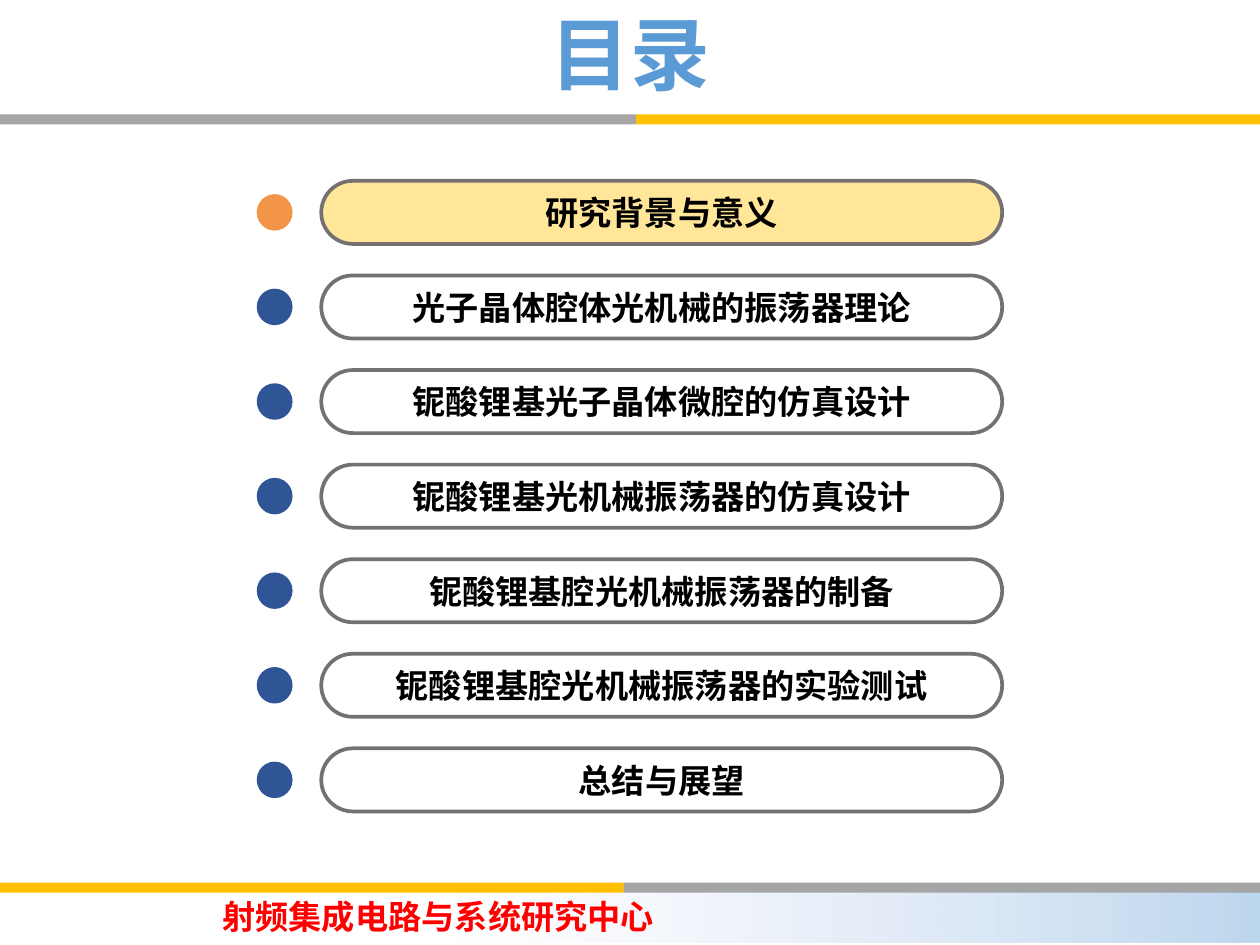
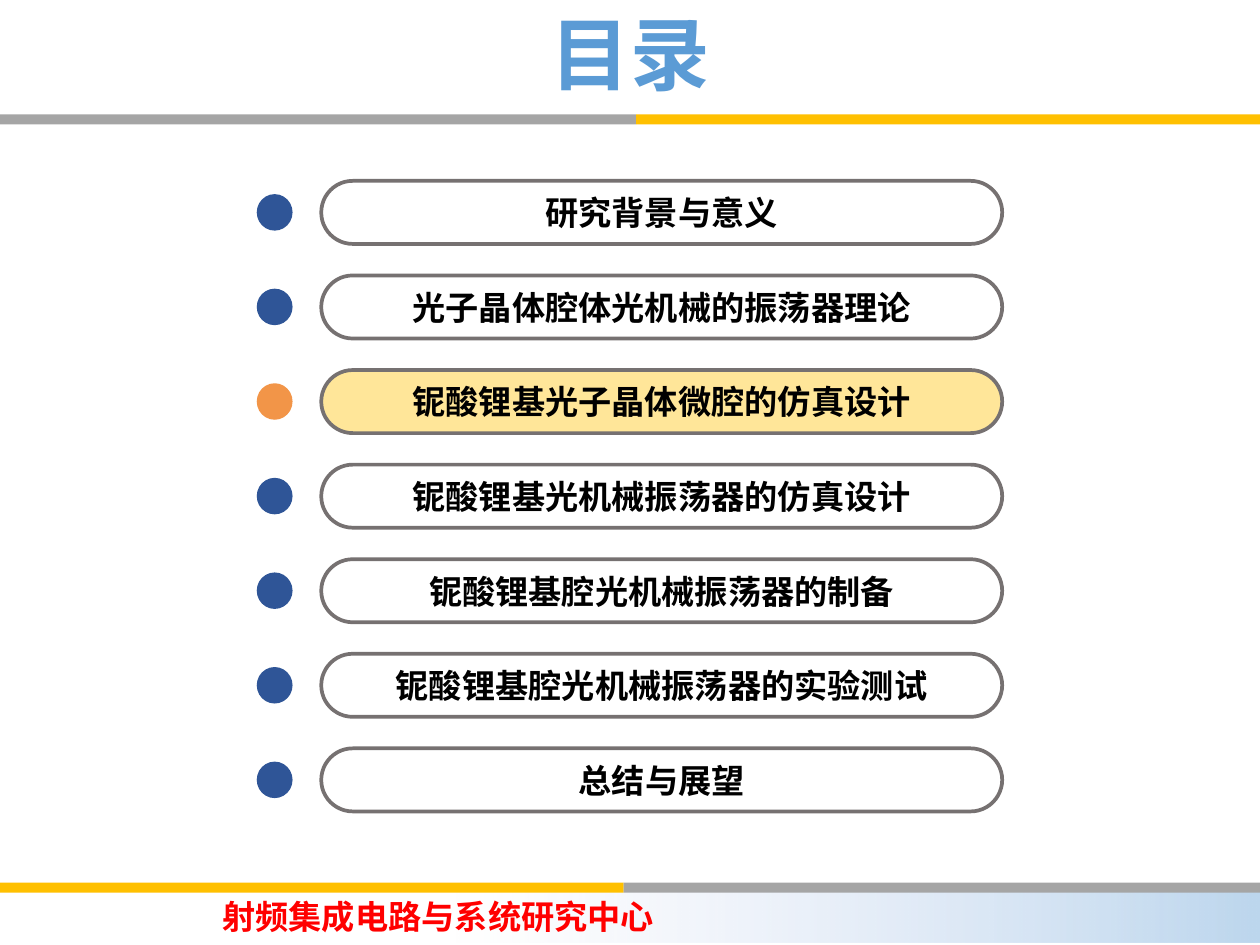
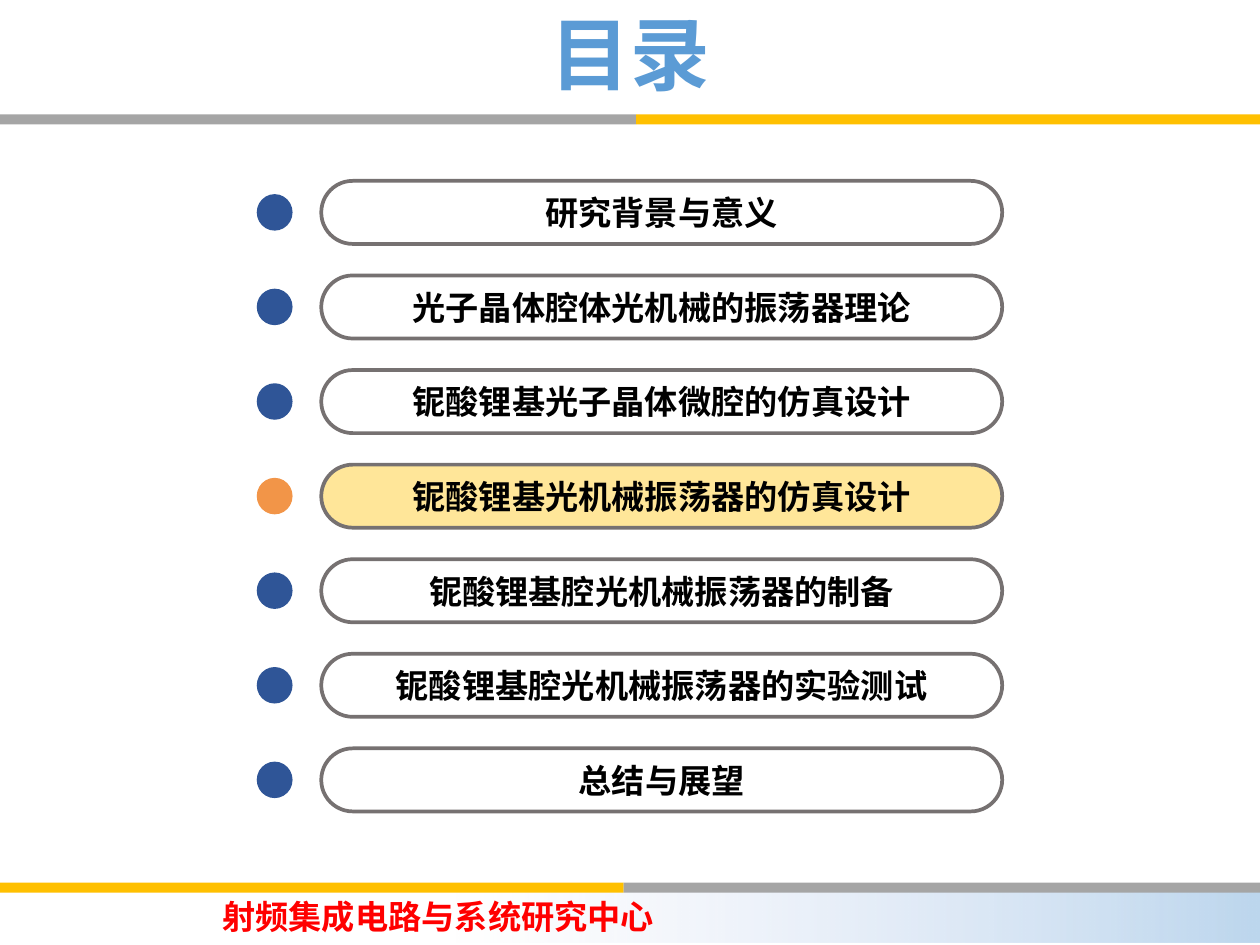
from dataclasses import dataclass

from lxml import etree
from pptx import Presentation
from pptx.dml.color import RGBColor
from pptx.enum import shapes, text
from pptx.oxml import ns
from pptx.util import Pt

TITLE = "目录"
FOOTER = "射频集成电路与系统研究中心"
SECTIONS = [
    "研究背景与意义",
    "光子晶体腔体光机械的振荡器理论",
    "铌酸锂基光子晶体微腔的仿真设计",
    "铌酸锂基光机械振荡器的仿真设计",
    "铌酸锂基腔光机械振荡器的制备",
    "铌酸锂基腔光机械振荡器的实验测试",
    "总结与展望",
]
CURRENT_SECTIONS = [0, 2, 3]  # one slide for each


@dataclass(frozen=True)
class Theme:
    title: str = "5B9BD5"
    footer: str = "FF0000"
    body: str = "000000"
    gray: str = "A5A5A5"
    gold: str = "FFC000"
    band_start: str = "BDD7EE"
    band_end: str = "E0E5F7"
    pill_line: str = "767171"
    pill_current: str = "FFE699"
    dot: str = "2F5597"
    dot_current: str = "F29548"
    title_font: str = "Noto Sans CJK JP"
    body_font: str = "Noto Sans CJK SC"
    title_size: int = 48
    body_size: int = 20


THEME = Theme()
WIDTH, HEIGHT = 759.6, 569.5
BAR_HEIGHT = 6
HEADER_BAR_TOP, FOOTER_BAR_TOP = 69, 532
HEADER_SPLIT, FOOTER_SPLIT = 383.5, 376
ROW_TOP, ROW_PITCH = 109, 57
PILL_LEFT, PILL_WIDTH, PILL_HEIGHT = 193.7, 410.5, 38
DOT_LEFT, DOT_WIDTH, DOT_HEIGHT = 154.8, 21.6, 22


def add_shape(slide, kind, left, top, width, height, fill=None):
    shape = slide.shapes.add_shape(kind, Pt(left), Pt(top), Pt(width), Pt(height))
    shape.shadow.inherit = False
    shape.line.fill.background()
    if fill:
        shape.fill.solid()
        shape.fill.fore_color.rgb = RGBColor.from_string(fill)
    else:
        shape.fill.background()
    return shape


def write(shape, words, font, size, color, align):
    frame = shape.text_frame
    frame.text = words
    frame.vertical_anchor = text.MSO_ANCHOR.MIDDLE
    paragraph = frame.paragraphs[0]
    paragraph.alignment = align
    run = paragraph.runs[0]
    run.font.size = Pt(size)
    run.font.bold = True
    run.font.color.rgb = RGBColor.from_string(color)
    run.font.name = font
    east_asian = etree.SubElement(run._r.get_or_add_rPr(), ns.qn("a:ea"))
    east_asian.set("typeface", font)
    return paragraph


def add_split_bar(slide, top, split, left_color, right_color):
    for left, right, color in ((0, split, left_color), (split, WIDTH, right_color)):
        add_shape(slide, shapes.MSO_SHAPE.RECTANGLE, left, top, right - left, BAR_HEIGHT, color)


def add_footer_band(slide):
    """Add the footer, whose tint fades out from right to left."""
    band = add_shape(slide, shapes.MSO_SHAPE.RECTANGLE, 0, 536.5, WIDTH, 31.5)
    band.fill.gradient()
    band.fill.gradient_angle = 180
    start, end = band.fill.gradient_stops
    start.position, end.position = 0, 0.64
    start.color.rgb = RGBColor.from_string(THEME.band_start)
    end.color.rgb = RGBColor.from_string(THEME.band_end)
    end_color = band.fill._xPr.findall(".//" + ns.qn("a:srgbClr"))[-1]
    etree.SubElement(end_color, ns.qn("a:alpha")).set("val", "0")
    frame = band.text_frame
    frame.margin_left = Pt(134)
    frame.margin_top = frame.margin_bottom = 0
    write(band, FOOTER, THEME.body_font, THEME.body_size, THEME.footer, text.PP_ALIGN.LEFT)


def add_frame(slide):
    """Add the title, bars and footer that every slide shares."""
    add_footer_band(slide)
    add_split_bar(slide, HEADER_BAR_TOP, HEADER_SPLIT, THEME.gray, THEME.gold)
    add_split_bar(slide, FOOTER_BAR_TOP, FOOTER_SPLIT, THEME.gold, THEME.gray)
    title = slide.shapes.add_textbox(Pt(124.6), Pt(7), Pt(510.5), Pt(57))
    title.text_frame.word_wrap = True
    paragraph = write(title, TITLE, THEME.title_font, THEME.title_size, THEME.title,
                      text.PP_ALIGN.CENTER)
    paragraph.line_spacing = 0.9


def add_section_row(slide, index, words, is_current):
    top = ROW_TOP + index * ROW_PITCH
    pill = add_shape(slide, shapes.MSO_SHAPE.ROUNDED_RECTANGLE, PILL_LEFT, top,
                     PILL_WIDTH, PILL_HEIGHT, THEME.pill_current if is_current else None)
    pill.adjustments[0] = 0.5
    pill.line.color.rgb = RGBColor.from_string(THEME.pill_line)
    pill.line.width = Pt(2.25)
    pill.text_frame.word_wrap = False
    write(pill, words, THEME.body_font, THEME.body_size, THEME.body, text.PP_ALIGN.CENTER)
    add_shape(slide, shapes.MSO_SHAPE.OVAL, DOT_LEFT, top + (PILL_HEIGHT - DOT_HEIGHT) / 2,
              DOT_WIDTH, DOT_HEIGHT, THEME.dot_current if is_current else THEME.dot)


def main():
    presentation = Presentation()
    presentation.slide_width, presentation.slide_height = Pt(WIDTH), Pt(HEIGHT)
    blank = presentation.slide_layouts[6]
    for current in CURRENT_SECTIONS:
        slide = presentation.slides.add_slide(blank)
        add_frame(slide)
        for index, words in enumerate(SECTIONS):
            add_section_row(slide, index, words, index == current)
    presentation.save("out.pptx")


if __name__ == "__main__":
    main()
